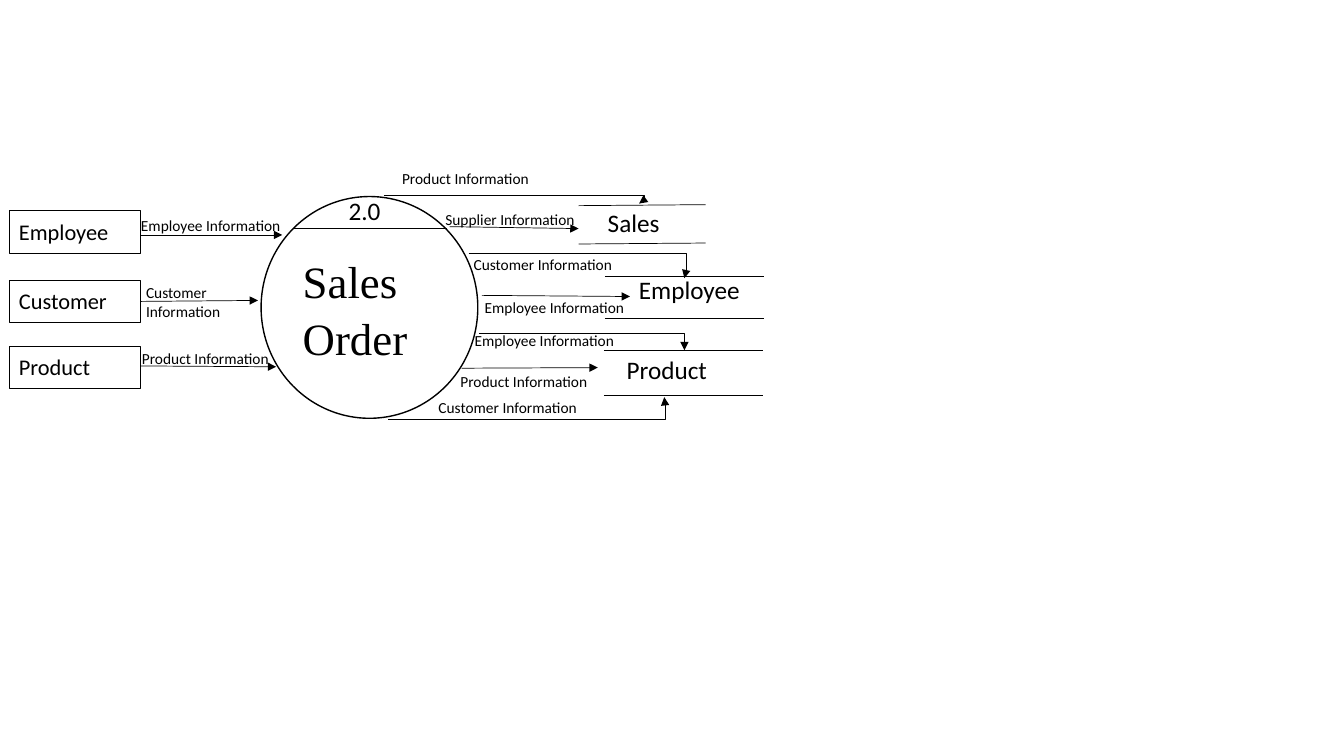
import pptx
import pptx.util
import pptx.dml.color
import pptx.enum.shapes
import pptx.enum.text
import pptx.oxml
import pptx.oxml.ns

Pt = pptx.util.Pt
Kind = pptx.enum.shapes.MSO_SHAPE
Link = pptx.enum.shapes.MSO_CONNECTOR
Anchor = pptx.enum.text.MSO_ANCHOR

# Content: all lengths in points
ENTITIES = [("Employee", 150.7), ("Customer", 200.4), ("Product", 247.2)]
CIRCLE = ("Sales Order", 186.5, 140.4, 154.8, 158.4)
NUMBER = ("2.0", 241.9, 135.6, 42.5)

# Store: name, left, top, width, gap between rules, rise, text left, text top
STORES = [
    ("Sales", 413.3, 146.9, 90.7, 27.4, 0.7, 427, 144.6),
    ("Employee", 432, 197.4, 113.8, 30.3, 0, 449.3, 192.2),
    ("Product", 431.3, 250, 113.8, 32.2, 0, 440.6, 249.8),
]
# Straight flow: start x, y, end x, y
FLOWS = [
    (100, 167.8, 201.6, 167.8),
    (100, 215.3, 184.3, 214.6),
    (99.4, 261.4, 197.3, 262),
    (321.1, 161.9, 413.3, 163.3),
    (344.2, 211, 450, 211.8),
    (329.8, 263, 427, 262.6),
]
# Bent flow: start x, y, end x, y, bend position (None for a single corner)
BENDS = [
    (274.3, 139.7, 456.5, 145.4, 1.019),
    (334.8, 180.7, 488.9, 198.7, 1.007),
    (277.2, 299.5, 474.5, 283.7, 1.003),
    (342, 238.3, 488.9, 250.2, None),
]
# Flow label: subject, left, top, width
LABELS = [
    ("Employee", 93.6, 150.5, 116),
    ("Customer", 97.2, 198.9, 70.6),
    ("Product", 94.3, 245.5, 108),
    ("Supplier", 311, 146.2, 120),
    ("Product", 280.1, 117.4, 108),
    ("Employee", 339.1, 209.5, 116),
    ("Customer", 331.2, 178.6, 116),
    ("Product", 321.8, 262.1, 108),
    ("Customer", 306, 280.8, 120),
    ("Employee", 331.9, 233.3, 116),
]

THEME = {
    "ink": pptx.dml.color.RGBColor(0, 0, 0),
    "paper": pptx.dml.color.RGBColor(255, 255, 255),
    "sans": "Calibri", "serif": "Times New Roman",
    "label": 11, "box": 16, "store": 18, "title": 32,
    "thin": 0.5, "edge": 0.75, "ring": 1,
}

deck = pptx.Presentation()
deck.slide_width, deck.slide_height = Pt(960), Pt(540)
slide = deck.slides.add_slide(deck.slide_layouts[6])
parts = slide.shapes


def write(shape, words, size, font="sans", anchor=Anchor.TOP, lead=1, after=0):
    frame = shape.text_frame
    frame.word_wrap = True
    frame.vertical_anchor = anchor
    para = frame.paragraphs[0]
    para.alignment = pptx.enum.text.PP_ALIGN.LEFT
    para.line_spacing, para.space_after = lead, Pt(after)
    run = para.add_run()
    run.text = words
    run.font.size, run.font.name = Pt(THEME[size]), THEME[font]
    run.font.color.rgb = THEME["ink"]


def label(words, x, y, wide, high, size):
    write(parts.add_textbox(Pt(x), Pt(y), Pt(wide), Pt(high)), words, size)


def block(kind, words, x, y, wide, high, edge, **style):
    shape = parts.add_shape(kind, Pt(x), Pt(y), Pt(wide), Pt(high))
    shape.shadow.inherit = False
    shape.fill.solid()
    shape.fill.fore_color.rgb = THEME["paper"]
    shape.line.color.rgb = THEME["ink"]
    shape.line.width = Pt(THEME[edge])
    write(shape, words, lead=1.07, after=8, **style)


def rule(x, y, end, low, kind=Link.STRAIGHT, arrow=False):
    line = parts.add_connector(kind, Pt(x), Pt(y), Pt(end), Pt(low))
    line.line.color.rgb = THEME["ink"]
    line.line.width = Pt(THEME["thin"])
    props = line._element.spPr
    if arrow:
        tip = pptx.oxml.parse_xml(
            '<a:tailEnd %s type="triangle"/>' % pptx.oxml.ns.nsdecls("a"))
        props.find(pptx.oxml.ns.qn("a:ln")).append(tip)
    props.append(pptx.oxml.parse_xml(
        "<a:effectLst %s/>" % pptx.oxml.ns.nsdecls("a")))
    return props


def bend(x, y, end, low, turn):
    props = rule(x, y, end, low, Link.ELBOW, arrow=True)
    form = props.find(pptx.oxml.ns.qn("a:prstGeom"))
    if turn is None:
        form.set("prst", "bentConnector2")
        return
    for old in list(form):
        form.remove(old)
    form.append(pptx.oxml.parse_xml(
        '<a:avLst %s><a:gd name="adj1" fmla="val %d"/></a:avLst>'
        % (pptx.oxml.ns.nsdecls("a"), round(turn * 100000))))


# Process circle with its number band
block(Kind.OVAL, *CIRCLE, "ring", size="title", font="serif",
      anchor=Anchor.MIDDLE)
rule(209.5, 163.4, 319, 163.4)
label(*NUMBER, 29, "store")

# Flows
for flow in FLOWS:
    rule(*flow, arrow=True)
for flow in BENDS:
    bend(*flow)

# External entities
for name, top in ENTITIES:
    block(Kind.RECTANGLE, name, 6.5, top, 93.6, 30.2, "edge", size="box")

# Data stores: two rules and a name
for name, left, top, wide, gap, rise, tx, ty in STORES:
    for y in (top, top + gap):
        rule(left, y, left + wide, y - rise)
    label(name, tx, ty, 96, 29, "store")

# Flow labels
for subject, left, top, wide in LABELS:
    label(subject + " Information", left, top, wide, 21, "label")

deck.save("out.pptx")
